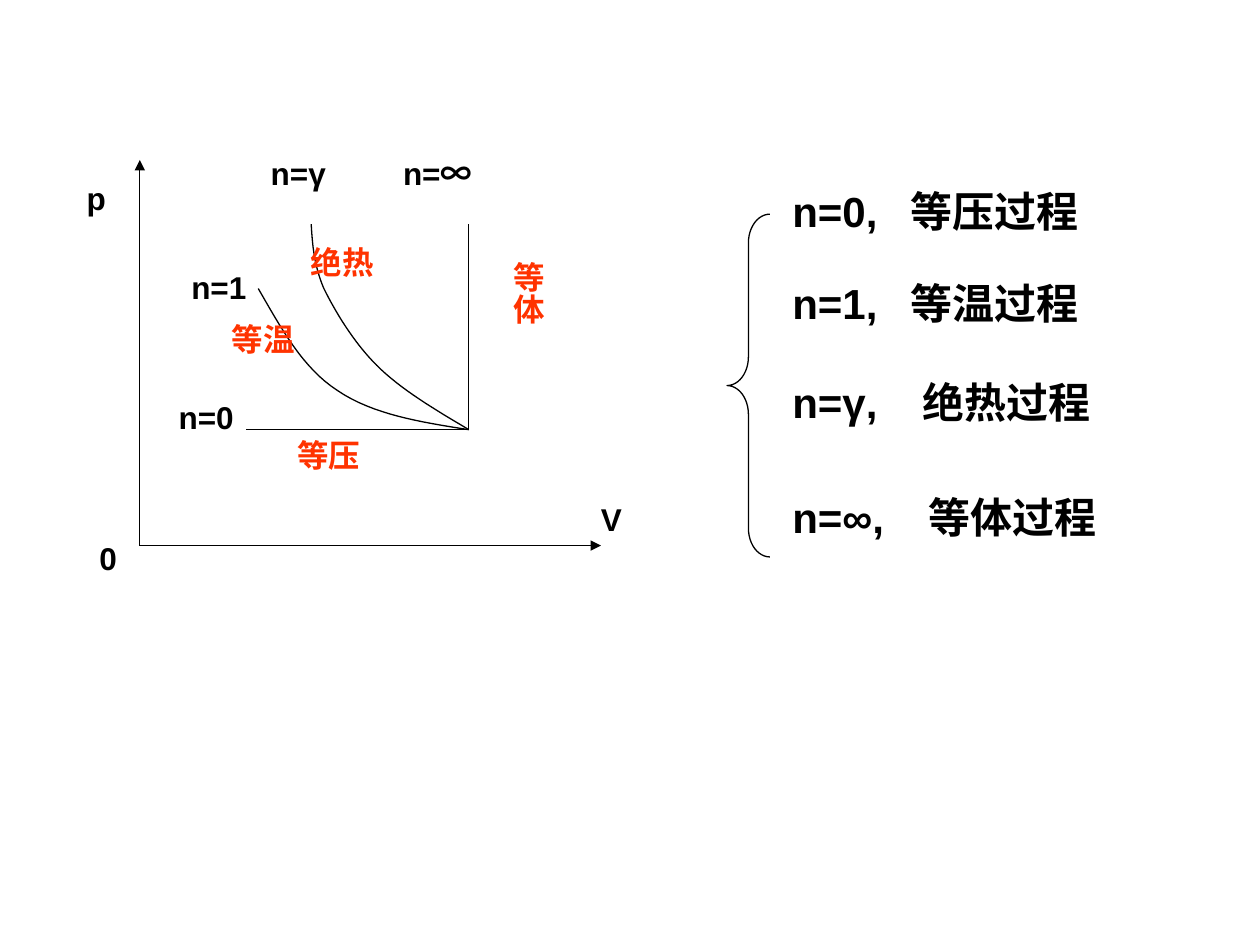
import pptx
import pptx.util
import pptx.dml.color
import pptx.enum.shapes
import pptx.enum.text
import pptx.oxml.ns
import lxml.etree

COLORS = {"ink": "000000", "process": "FF3300"}
LATIN, SYMBOL = "Arial", "Noto Sans CJK TC"
WIDTH, HEIGHT = pptx.util.Inches(10), pptx.util.Inches(7.5)
COLUMNS, ROWS = 100, 75
CURVE_STEPS = 16

ORIGIN = (11.1, 43.3)
STATE = (37.2, 34.1)  # the point where all four processes meet

ISOTHERM = [STATE, (33.4, 33.5), (29.6, 32.9), (26.8, 31),
            (24, 29.2), (22.3, 26), (20.5, 22.9)]
ADIABAT = [STATE, (34.5, 32.5), (31.8, 30.9), (29.9, 29),
           (28, 27.1), (26.6, 24.7), (25.7, 22.9),
           (24.9, 21), (24.8, 19.4), (24.7, 17.8)]

# text, left, top, width, colour
LABELS = [
    ("n=γ", 20.5, 11.7, 10.5, "ink"),
    ("n=", 31, 11.7, 11.5, "ink"),
    ("n=1", 14.2, 20.8, 9.4, "ink"),
    ("n=0", 13.2, 31.1, 9.4, "ink"),
    ("等温", 17.4, 24.9, 9.4, "process"),
    ("绝热", 23.7, 18.8, 9.4, "process"),
    ("等压", 22.6, 34.1, 10.4, "process"),
    ("p", 5.9, 13.7, 6.3, "ink"),
    ("V", 46.7, 39.2, 4.2, "ink"),
    ("0", 6.9, 42.3, 5.2, "ink"),
]

# condition, process, top, width, tab position
PROCESSES = [
    ("n=0,", "等压过程", 14.2, 28.9, 9.4),
    ("n=1,", "等温过程", 21.5, 26.4, 9.4),
    ("n=γ,", "绝热过程", 29.4, 29.8, 10.3),
    ("n=∞,", "等体过程", 38.5, 28.9, 10.8),
]


def across(columns):
    return round(WIDTH * columns / COLUMNS)


def down(rows):
    return round(HEIGHT * rows / ROWS)


def apply(target, values):
    for name, value in values.items():
        setattr(target, name, value)


def rgb(name):
    return pptx.dml.color.RGBColor.from_string(COLORS[name])


def add_span(para, text, size, color="ink", font=LATIN):
    span = para.add_run()
    span.text = text
    apply(span.font, {"name": font, "size": pptx.util.Pt(size), "bold": True})
    span.font.color.rgb = rgb(color)


def add_text(slide, text, left, top, width, height, size, color="ink"):
    """Add a one-paragraph text box and return it."""
    box = slide.shapes.add_textbox(across(left), down(top), across(width), down(height))
    apply(box.text_frame, {
        "word_wrap": True,
        "auto_size": pptx.enum.text.MSO_AUTO_SIZE.SHAPE_TO_FIT_TEXT,
    })
    add_span(box.text_frame.paragraphs[0], text, size, color)
    return box


def add_vertical_text(slide, text, left, top, width, height, size, color):
    frame = add_text(slide, text, left, top, width, height, size, color).text_frame
    side, end = pptx.util.Inches(0.05), pptx.util.Inches(0.1)
    apply(frame, {"margin_left": side, "margin_right": side,
                  "margin_top": end, "margin_bottom": end})
    frame.paragraphs[0].alignment = pptx.enum.text.PP_ALIGN.CENTER
    frame._txBody.bodyPr.set("vert", "eaVert")


def add_process(slide, condition, process, top, width, tab):
    box = add_text(slide, f"{condition}\t{process}", 61.9, top, width, 5, 24)
    properties = box.text_frame.paragraphs[0]._p.get_or_add_pPr()
    stops = lxml.etree.SubElement(properties, pptx.oxml.ns.qn("a:tabLst"))
    lxml.etree.SubElement(stops, pptx.oxml.ns.qn("a:tab"),
                          pos=str(across(tab)), algn="l")


def style_outline(shape):
    shape.line.color.rgb = rgb("ink")
    shape.line.width = pptx.util.Pt(0.75)


def add_line(slide, start, end, arrow=False):
    line = slide.shapes.add_connector(
        pptx.enum.shapes.MSO_CONNECTOR.STRAIGHT,
        across(start[0]), down(start[1]), across(end[0]), down(end[1]))
    style_outline(line)
    if arrow:
        lxml.etree.SubElement(line.line._get_or_add_ln(),
                              pptx.oxml.ns.qn("a:tailEnd"), type="triangle")
    lxml.etree.SubElement(line._element.spPr, pptx.oxml.ns.qn("a:effectLst"))


def bezier_point(controls, t):
    weights = ((1 - t) ** 3, 3 * t * (1 - t) ** 2, 3 * t ** 2 * (1 - t), t ** 3)
    x, y = (sum(w * value for w, value in zip(weights, axis)) for axis in zip(*controls))
    return across(x), down(y)


def add_curve(slide, controls):
    """Draw joined cubic Bézier pieces; each piece starts where the last ended."""
    points = [bezier_point(controls[i:i + 4], step / CURVE_STEPS)
              for i in range(0, len(controls) - 1, 3)
              for step in range(1, CURVE_STEPS + 1)]
    builder = slide.shapes.build_freeform(across(controls[0][0]), down(controls[0][1]))
    builder.add_line_segments(points, close=False)
    curve = builder.convert_to_shape()
    curve.shadow.inherit = False
    curve.fill.background()
    style_outline(curve)


def add_brace(slide, left, top, width, height):
    brace = slide.shapes.add_shape(
        pptx.enum.shapes.MSO_SHAPE.LEFT_BRACE,
        across(left), down(top), across(width), down(height))
    brace.adjustments[0] = 0.67
    brace.shadow.inherit = False
    brace.fill.background()
    style_outline(brace)


def main():
    deck = pptx.Presentation()
    apply(deck, {"slide_width": WIDTH, "slide_height": HEIGHT})
    slide = deck.slides.add_slide(deck.slide_layouts[6])

    add_brace(slide, 57.7, 17, 3.4, 27.2)
    for process in PROCESSES:
        add_process(slide, *process)

    add_line(slide, ORIGIN, (47.7, ORIGIN[1]), arrow=True)
    add_line(slide, ORIGIN, (ORIGIN[0], 12.7), arrow=True)
    add_line(slide, STATE, (STATE[0], 17.8))
    add_line(slide, STATE, (19.5, STATE[1]))
    for controls in (ISOTHERM, ADIABAT):
        add_curve(slide, controls)

    for text, left, top, width, color in LABELS:
        box = add_text(slide, text, left, top, width, 4, 18, color)
        if text == "n=":
            add_span(box.text_frame.paragraphs[0], "∞", 18, font=SYMBOL)
    add_vertical_text(slide, "等体", 38.9, 19.8, 5, 9.2, 18, "process")

    deck.save("out.pptx")


if __name__ == "__main__":
    main()
